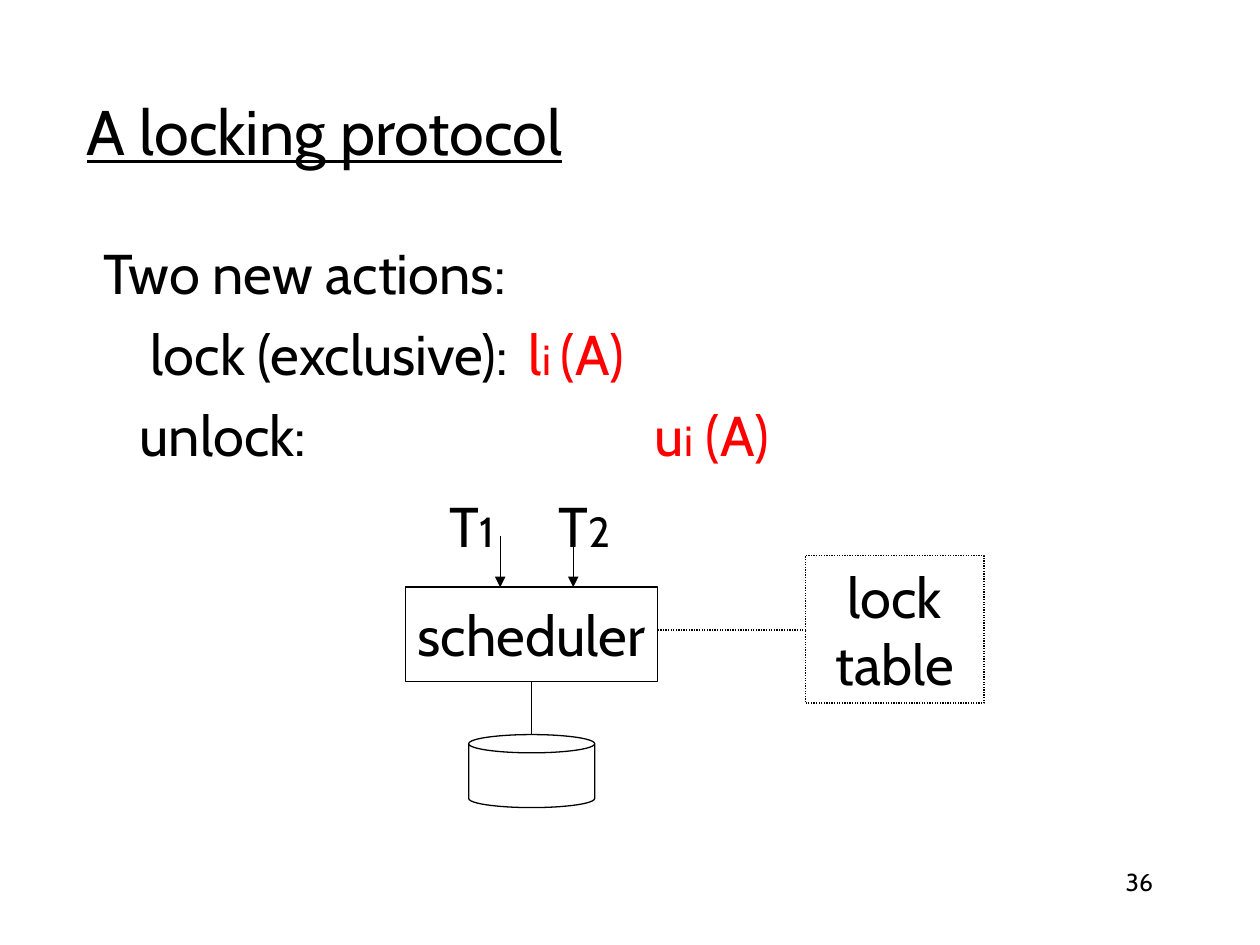
from lxml.etree import SubElement
from pptx import Presentation
from pptx.dml.color import RGBColor
from pptx.enum.dml import MSO_LINE
from pptx.enum.shapes import MSO_CONNECTOR, MSO_SHAPE
from pptx.enum.text import MSO_ANCHOR, MSO_AUTO_SIZE, PP_ALIGN
from pptx.oxml.ns import qn
from pptx.util import Inches, Pt

BLACK, WHITE, RED = "000000", "FFFFFF", "FF0000"
FONT = "Cabin"
LARGE, SMALL = 32, 24


def color(hex_value):
    """Turn a hex string into a colour."""
    return RGBColor.from_string(hex_value)


def apply(target, values):
    """Set attributes of a target from a dict."""
    for name, value in values.items():
        setattr(target, name, value)


def add_run(paragraph, text, size=LARGE, ink=BLACK, underline=False):
    """Append a formatted run to a paragraph."""
    run = paragraph.add_run()
    run.text = text
    apply(run.font, {"name": FONT, "size": Pt(size), "underline": underline})
    run.font.color.rgb = color(ink)


def set_tabs(paragraph, stops):
    """Give a paragraph left tab stops, in inches."""
    tab_list = SubElement(paragraph._p.get_or_add_pPr(), qn("a:tabLst"))
    for stop in stops:
        SubElement(tab_list, qn("a:tab"), pos=str(Inches(stop)), algn="l")


def fill_text(frame, lines, align=PP_ALIGN.LEFT, tabs=(), gap=0, **frame_values):
    """Write lines of runs into a text frame."""
    apply(frame, {"auto_size": MSO_AUTO_SIZE.NONE, "word_wrap": True, **frame_values})
    for index, runs in enumerate(lines):
        paragraph = frame.paragraphs[0] if index == 0 else frame.add_paragraph()
        paragraph.alignment = align
        if index and gap:
            paragraph.space_before = Pt(gap)
        if index < len(tabs) and tabs[index]:
            set_tabs(paragraph, tabs[index])
        for run in runs:
            add_run(paragraph, *run)


def add_title(slide, text):
    """Place and format the slide title."""
    title = slide.shapes.title
    apply(title, {"left": Inches(0.59), "top": Inches(0.41),
                  "width": Inches(8.5), "height": Inches(1.25)})
    fill_text(title.text_frame, [[(text, 36, BLACK, True)]],
              vertical_anchor=MSO_ANCHOR.MIDDLE)


def add_text(slide, box, lines, **options):
    """Add a text box."""
    label = slide.shapes.add_textbox(*map(Inches, box))
    fill_text(label.text_frame, lines, **options)


def set_line(line, dash=None):
    """Give a line the thin black style of the diagram."""
    line.color.rgb = color(BLACK)
    apply(line, {"width": Pt(0.75), "dash_style": dash})


def add_node(slide, kind, box, words=(), dash=None):
    """Add an outlined diagram node with centred words."""
    node = slide.shapes.add_shape(kind, *map(Inches, box))
    node.shadow.inherit = False
    node.fill.solid()
    node.fill.fore_color.rgb = color(WHITE)
    set_line(node.line, dash)
    if words:
        fill_text(node.text_frame, [[(word,)] for word in words],
                  align=PP_ALIGN.CENTER, vertical_anchor=MSO_ANCHOR.MIDDLE,
                  word_wrap=False)


def add_link(slide, start, end, dash=None, arrow=False):
    """Add a straight link between two points."""
    link = slide.shapes.add_connector(
        MSO_CONNECTOR.STRAIGHT, *map(Inches, (*start, *end)))
    set_line(link.line, dash)
    if arrow:
        SubElement(link.line._get_or_add_ln(), qn("a:tailEnd"), type="triangle")
    SubElement(link._element.spPr, qn("a:effectLst"))


def add_actions(slide):
    """Add the list of lock and unlock actions."""
    add_text(slide, (0.72, 1.84, 8.5, 4.5), [
        [("Two new actions:",)],
        [("\tlock (exclusive):\t",), ("l", LARGE, RED),
         ("i ", SMALL, RED), ("(A)", LARGE, RED)],
        [("\tunlock:\t",), ("u", LARGE, RED),
         ("i", SMALL, RED), (" (A)", LARGE, RED)],
    ], tabs=[(), (0.38, 3.38), (0.29, 4.38)], gap=8)


def add_diagram(slide):
    """Add the scheduler, its transactions, storage and lock table."""
    dotted = MSO_LINE.ROUND_DOT
    add_node(slide, MSO_SHAPE.RECTANGLE, (3.22, 4.66, 2, 0.75), ["scheduler"])
    add_node(slide, MSO_SHAPE.CAN, (3.72, 5.83, 1, 0.58))
    add_link(slide, (4.22, 5.41), (4.22, 5.83))
    add_text(slide, (3.39, 3.85, 1.65, 0.64),
             [[("T",), ("1", SMALL), ("\tT",), ("2", SMALL)]],
             tabs=[(0.86,)], margin_left=Inches(0.18),
             vertical_anchor=MSO_ANCHOR.MIDDLE)
    for x, top in ((3.97, 4.25), (4.55, 4.16)):
        add_link(slide, (x, top), (x, 4.66), arrow=True)
    add_node(slide, MSO_SHAPE.RECTANGLE, (6.39, 4.41, 1.42, 1.17),
             ["lock", "table"], dotted)
    add_link(slide, (5.22, 5), (6.39, 5), dotted)


def main():
    """Build and save the slide."""
    deck = Presentation()
    apply(deck, {"slide_width": Inches(10), "slide_height": Inches(7.5)})
    slide = deck.slides.add_slide(deck.slide_layouts[5])
    add_title(slide, "A locking protocol")
    add_actions(slide)
    add_diagram(slide)
    add_text(slide, (7.17, 6.83, 2.08, 0.5), [[("36", 14)]], align=PP_ALIGN.RIGHT)
    deck.save("out.pptx")


if __name__ == "__main__":
    main()
